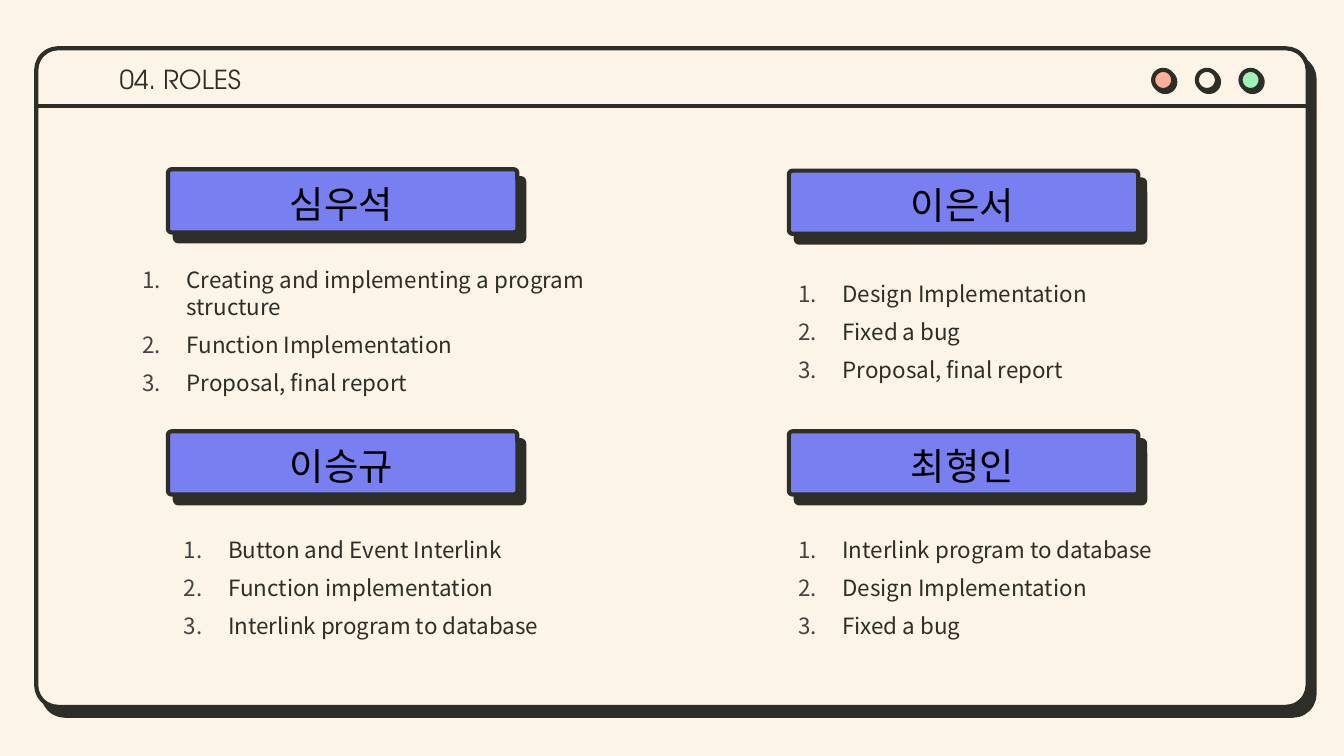
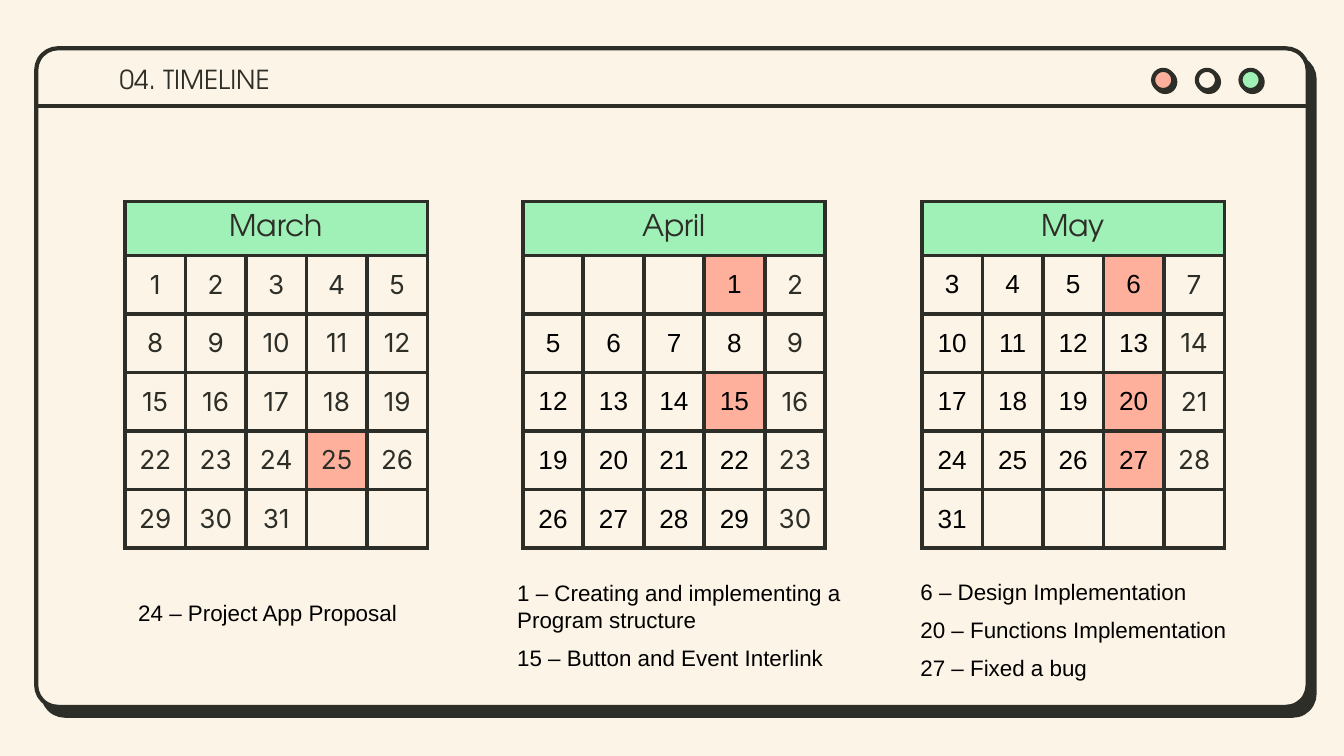
from lxml import etree
from pptx import Presentation
from pptx.dml.color import RGBColor
from pptx.enum import shapes, text
from pptx.oxml import ns
from pptx.util import Inches, Pt

CREAM, INK, BLACK = "FCF4E6", "2D2E27", "000000"
CORAL, MINT, PERIWINKLE, NUMBER_GREY = "FFB09C", "9FF1B7", "787FF0", "434343"
TITLE_FONT, ROLE_FONT, DATE_FONT, NOTE_FONT = (
    "TeX Gyre Adventor", "Noto Sans CJK KR", "Inter", "Arial")
OUTLINE = 2.25
WEEKS, WEEKDAYS = 5, 5

# name, button (left, top), task list box, tasks
ROLES = [
    ("심우석", (1.25, 1.26), (0.79, 2, 4.3, 0.93),
     ["Creating and implementing a program structure",
      "Function Implementation", "Proposal, final report"]),
    ("이승규", (1.25, 3.21), (1.1, 3.91, 3.82, 0.93),
     ["Button and Event Interlink", "Function implementation",
      "Interlink program to database"]),
    ("이은서", (5.87, 1.27), (5.67, 1.93, 3.15, 1.07),
     ["Design Implementation", "Fixed a bug", "Proposal, final report"]),
    ("최형인", (5.87, 3.21), (5.67, 3.91, 3.03, 0.93),
     ["Interlink program to database", "Design Implementation",
      "Fixed a bug"]),
]

# month, left, day in the first cell (below 1 is blank), last day,
# milestones, columns set in the note font, note box, notes
MONTHS = [
    ("March", 0.93, 1, 31, {25}, 0, (0.93, 4.13, 2.61, 0.63),
     ["24 – Project App Proposal"]),
    ("April", 3.89, -2, 30, {1, 15}, 4, (3.75, 3.95, 2.74, 1.14),
     ["1 – Creating and implementing a Program structure",
      "15 – Button and Event Interlink"]),
    ("May", 6.86, 3, 31, {6, 20, 27}, 4, (6.75, 4.13, 2.74, 1.04),
     ["6 – Design Implementation", "20 – Functions Implementation",
      "27 – Fixed a bug"]),
]


def rgb(color):
    return RGBColor.from_string(color)


def add_xml(parent, tag, **attributes):
    return etree.SubElement(parent, ns.qn(tag), attributes)


def add_color(parent, color):
    fill = add_xml(parent, "a:solidFill")
    add_xml(fill, "a:srgbClr", val=color)


def style_runs(paragraph, font, size, color):
    for run in paragraph.runs:
        run.font.name = font
        run.font.size = Pt(size)
        run.font.color.rgb = rgb(color)
        add_xml(run.font._element, "a:ea", typeface=font)


def set_frame(frame, anchor):
    frame.word_wrap = True
    frame.auto_size = text.MSO_AUTO_SIZE.NONE
    frame.vertical_anchor = anchor
    frame.margin_left = frame.margin_right = Inches(0.1)
    frame.margin_top = frame.margin_bottom = Inches(0.1)


def add_block(slide, kind, box, color, distance, angle, corner=None):
    """Outlined shape with a hard offset shadow."""
    block = slide.shapes.add_shape(kind, *map(Inches, box))
    if corner is not None:
        block.adjustments[0] = corner
    block.fill.solid()
    block.fill.fore_color.rgb = rgb(color)
    block.line.color.rgb = rgb(INK)
    block.line.width = Pt(OUTLINE)
    block.shadow.inherit = False
    effects = block._element.spPr.find(ns.qn("a:effectLst"))
    shadow = add_xml(effects, "a:outerShdw", blurRad="0",
                     dist=str(Pt(distance)), dir=str(angle * 60000),
                     algn="bl", rotWithShape="0")
    add_xml(shadow, "a:srgbClr", val=INK)
    return block


def add_rule(slide, left, right, top):
    rule = slide.shapes.add_connector(
        shapes.MSO_CONNECTOR.STRAIGHT,
        *map(Inches, (left, top, right, top)))
    rule.line.color.rgb = rgb(INK)
    rule.line.width = Pt(OUTLINE)
    add_xml(rule._element.spPr, "a:effectLst")
    return rule


def put_window_on_layout(layout, slide):
    """Draw the window frame on a slide, then move it to the layout."""
    layout.background.fill.solid()
    layout.background.fill.fore_color.rgb = rgb(CREAM)
    window = [
        add_block(slide, shapes.MSO_SHAPE.ROUNDED_RECTANGLE,
                  (0.27, 0.36, 9.46, 4.9), CREAM, 6, 52, 0.033),
        add_rule(slide, 0.27, 9.72, 0.79),
    ]
    for i, color in enumerate((CORAL, CREAM, MINT)):
        window.append(add_block(
            slide, shapes.MSO_SHAPE.OVAL,
            (8.58 + i * 0.65 / 2, 0.52, 0.15, 0.15), color, 1.5, 45))
    for part in window:
        layout.shapes.element.append(part._element)


def set_title(slide, wording):
    title = slide.shapes.title
    title.left, title.top = Inches(0.79), Inches(0.41)
    title.width, title.height = Inches(3.96), Inches(0.36)
    set_frame(title.text_frame, text.MSO_ANCHOR.MIDDLE)
    title.text_frame.text = wording
    paragraph = title.text_frame.paragraphs[0]
    paragraph.alignment = text.PP_ALIGN.LEFT
    style_runs(paragraph, TITLE_FONT, 14, INK)


def add_name_button(slide, name, left, top):
    add_block(slide, shapes.MSO_SHAPE.ROUNDED_RECTANGLE,
              (left, top, 2.6, 0.47), PERIWINKLE, 6, 52, 0.057)
    label = slide.shapes.add_textbox(
        *map(Inches, (left + 0.17, top + 0.02, 2.24, 0.47))).text_frame
    set_frame(label, text.MSO_ANCHOR.MIDDLE)
    label.text = name
    paragraph = label.paragraphs[0]
    paragraph.alignment = text.PP_ALIGN.CENTER
    style_runs(paragraph, ROLE_FONT, 20, BLACK)


def add_lines(slide, box, lines, font, color, anchor):
    frame = slide.shapes.add_textbox(*map(Inches, box)).text_frame
    set_frame(frame, anchor)
    frame.text = "\n".join(lines)
    for paragraph in frame.paragraphs:
        paragraph.space_after = Pt(6)
        paragraph.line_spacing = Pt(14.4)
        style_runs(paragraph, font, 12, color)
    return frame.paragraphs


def number_lines(paragraphs):
    for paragraph in paragraphs:
        properties = paragraph._p.get_or_add_pPr()
        properties.set("marL", str(Inches(0.5)))
        properties.set("indent", str(Inches(-0.33)))
        bullet_color = add_xml(properties, "a:buClr")
        add_xml(bullet_color, "a:srgbClr", val=NUMBER_GREY)
        add_xml(properties, "a:buAutoNum", type="arabicPeriod")


def set_cell(cell, wording, fill, font, size, color):
    cell.margin_left = cell.margin_right = Inches(0.05)
    cell.margin_top = cell.margin_bottom = Inches(0.05)
    cell.vertical_anchor = text.MSO_ANCHOR.MIDDLE
    for side in ("a:lnL", "a:lnR", "a:lnT", "a:lnB"):
        border = add_xml(cell._tc.get_or_add_tcPr(), side,
                         w=str(Pt(OUTLINE)))
        add_color(border, INK)
    cell.fill.solid()
    cell.fill.fore_color.rgb = rgb(fill)
    if wording:
        cell.text = wording
        paragraph = cell.text_frame.paragraphs[0]
        paragraph.alignment = text.PP_ALIGN.CENTER
        style_runs(paragraph, font, size, color)


def add_calendar(slide, month, left, first, last, milestones, note_columns):
    calendar = slide.shapes.add_table(
        WEEKS + 1, WEEKDAYS, *map(Inches, (left, 1.5, 2.25, 2.58))).table
    calendar.first_row = calendar.horz_banding = False
    for column in calendar.columns:
        column.width = Inches(2.25 / WEEKDAYS)
    for i, row in enumerate(calendar.rows):
        row.height = Inches(2.18 / WEEKS if i else 0.4)
    for weekday in range(WEEKDAYS):
        set_cell(calendar.cell(0, weekday), "" if weekday else month,
                 MINT, TITLE_FONT, 16, INK)
        font, color = ((NOTE_FONT, BLACK) if weekday < note_columns
                       else (DATE_FONT, INK))
        for week in range(WEEKS):
            day = first + 7 * week + weekday
            set_cell(calendar.cell(week + 1, weekday),
                     str(day) if 1 <= day <= last else "",
                     CORAL if day in milestones else CREAM,
                     font, 14, color)
    calendar.cell(0, 0).merge(calendar.cell(0, WEEKDAYS - 1))


def build_roles(slide):
    set_title(slide, "04. ROLES")
    for name, corner, box, tasks in ROLES:
        add_name_button(slide, name, *corner)
        number_lines(add_lines(slide, box, tasks, ROLE_FONT, INK,
                               text.MSO_ANCHOR.MIDDLE))


def build_timeline(slide):
    set_title(slide, "04. TIMELINE")
    for *calendar, box, notes in MONTHS:
        add_calendar(slide, *calendar)
        add_lines(slide, box, notes, NOTE_FONT, BLACK,
                  text.MSO_ANCHOR.BOTTOM)


def main():
    deck = Presentation()
    deck.slide_width = Inches(10)
    deck.slide_height = deck.slide_width * 9 // 16
    title_only = deck.slide_layouts[5]
    roles = deck.slides.add_slide(title_only)
    timeline = deck.slides.add_slide(title_only)
    put_window_on_layout(title_only, roles)
    build_roles(roles)
    build_timeline(timeline)
    deck.save("out.pptx")


if __name__ == "__main__":
    main()
